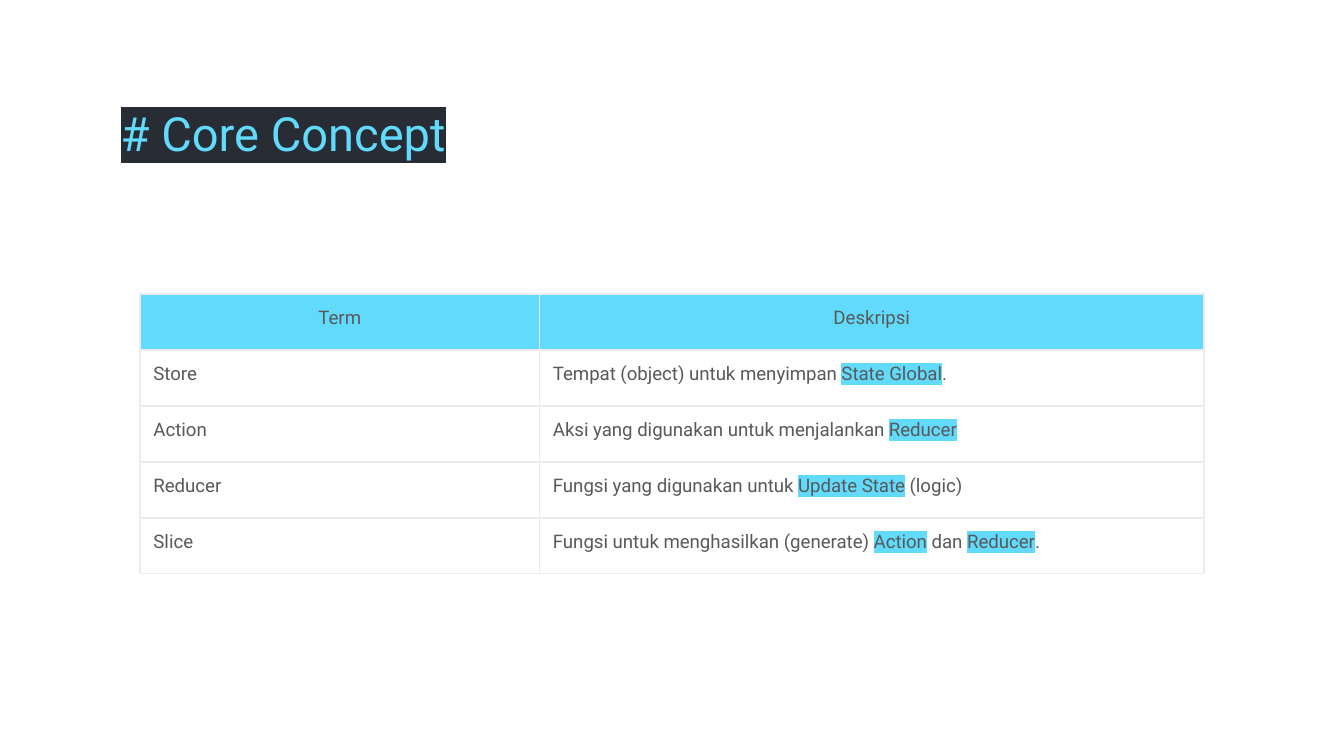
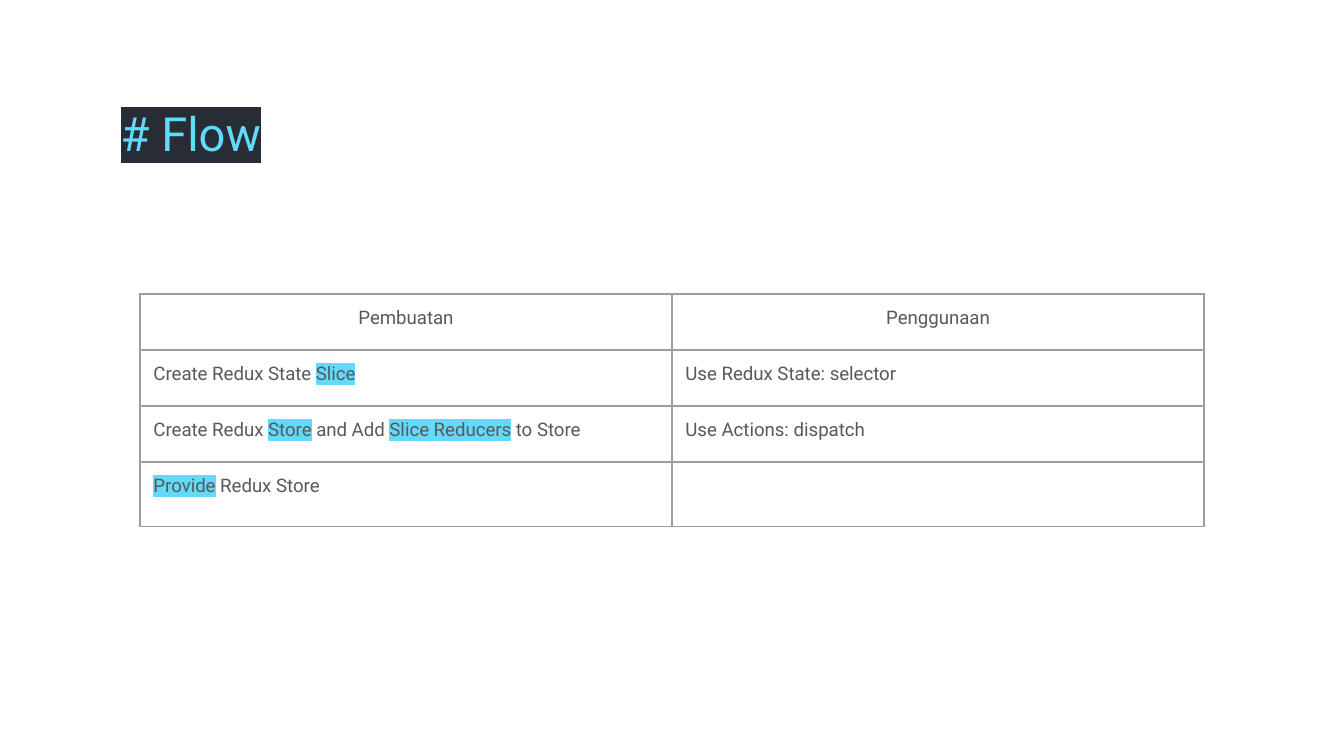
from lxml import etree
from pptx import Presentation
from pptx.dml.color import RGBColor
from pptx.enum import text
from pptx.oxml import ns
from pptx.util import Pt

CYAN = RGBColor(0x61, 0xDA, 0xFB)
DARK = RGBColor(0x28, 0x2C, 0x34)
GRAY = RGBColor(0x59, 0x59, 0x59)
PALE = RGBColor(0xE9, 0xED, 0xEE)
MID = RGBColor(0x9E, 0x9E, 0x9E)
FONT = "Roboto"
PAD = Pt(7.2)

TERMS = [
    ("Term", "Deskripsi"),
    ("Store", "Tempat (object) untuk menyimpan *State Global*."),
    ("Action", "Aksi yang digunakan untuk menjalankan *Reducer*"),
    ("Reducer", "Fungsi yang digunakan untuk *Update State* (logic)"),
    ("Slice", "Fungsi untuk menghasilkan (generate) *Action* dan *Reducer*."),
]
STEPS = [
    ("Pembuatan", "Penggunaan"),
    ("Create Redux State *Slice*", "Use Redux State: selector"),
    ("Create Redux *Store* and Add *Slice Reducers* to Store", "Use Actions: dispatch"),
    ("*Provide* Redux Store", ""),
]


class Deck:
    def __init__(self):
        self.prs = Presentation()
        self.prs.slide_width, self.prs.slide_height = Pt(720), Pt(405)
        self.slide = None

    def page(self, title):
        self.slide = self.prs.slides.add_slide(self.prs.slide_layouts[6])
        box = self.slide.shapes.add_textbox(Pt(57.6), Pt(46.8), Pt(605.5), Pt(42.5))
        frame = box.text_frame
        frame.word_wrap = True
        frame.margin_left = frame.margin_right = frame.margin_bottom = PAD
        frame.margin_top = Pt(8.9)
        frame.text = title
        self.style(frame.paragraphs[0].runs[0], 25.2, CYAN, DARK)

    def style(self, run, size, color, mark=None):
        font = run.font
        font.size, font.name = Pt(size), FONT
        font.color.rgb = color
        if mark is not None:
            light = etree.Element(ns.qn("a:highlight"))
            etree.SubElement(light, ns.qn("a:srgbClr"), val=str(mark))
            run._r.rPr.find(ns.qn("a:solidFill")).addnext(light)

    def border(self, cell, color):
        props = cell._tc.get_or_add_tcPr()
        for i, side in enumerate("LRTB"):
            line = etree.Element(ns.qn(f"a:ln{side}"), w=str(Pt(0.75)))
            fill = etree.SubElement(line, ns.qn("a:solidFill"))
            etree.SubElement(fill, ns.qn("a:srgbClr"), val=str(color))
            props.insert(i, line)

    def label(self, cell, words, head):
        cell.margin_left = cell.margin_right = PAD
        cell.margin_top = cell.margin_bottom = PAD
        para = cell.text_frame.paragraphs[0]
        if head:
            para.alignment = text.PP_ALIGN.CENTER
        for i, part in enumerate(words.split("*")):
            if part:
                run = para.add_run()
                run.text = part
                self.style(run, 10, GRAY, CYAN if i % 2 else None)
        if not words:
            etree.SubElement(para._p, ns.qn("a:endParaRPr"), sz="1000")

    def table(self, rows, widths, highs, line, band=None):
        frame = self.slide.shapes.add_table(
            len(rows), len(widths), Pt(75), Pt(157.5), Pt(sum(widths)), Pt(sum(highs)))
        grid = frame.table
        grid.first_row = grid.horz_banding = False
        for col, width in zip(grid.columns, widths):
            col.width = Pt(width)
        for r, row in enumerate(rows):
            grid.rows[r].height = Pt(highs[r])
            for c, words in enumerate(row):
                cell = grid.cell(r, c)
                self.label(cell, words, r == 0)
                if r == 0 and band is not None:
                    cell.fill.solid()
                    cell.fill.fore_color.rgb = band
                else:
                    cell.fill.background()
                self.border(cell, line)


def main():
    deck = Deck()
    deck.page("# Core Concept")
    deck.table(TERMS, [214, 356], [30] * 5, PALE, CYAN)
    deck.page("# Flow")
    deck.table(STEPS, [285, 285], [30] * 3 + [34.8], MID)
    deck.prs.save("out.pptx")


if __name__ == "__main__":
    main()
